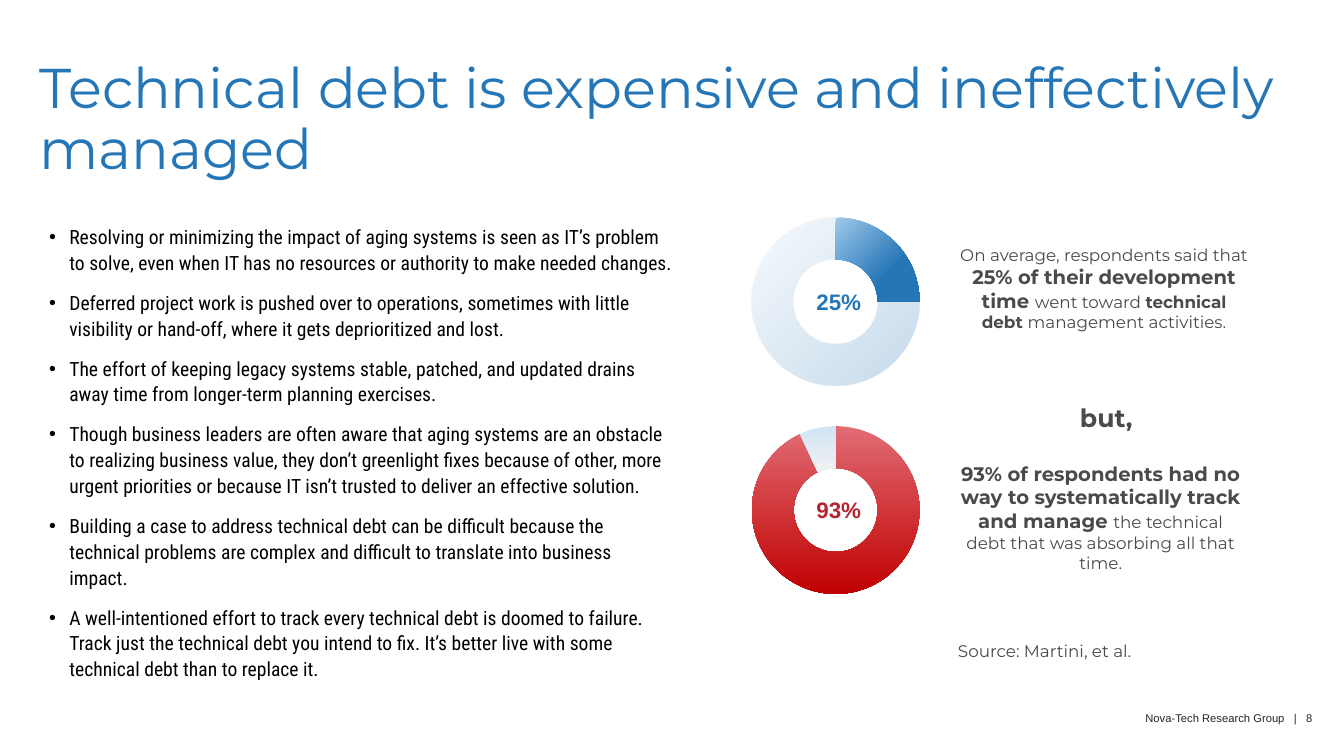
"""Build the slide on the cost and management of technical debt."""
from dataclasses import dataclass

from lxml.etree import SubElement
from pptx import Presentation
from pptx.chart.data import CategoryChartData
from pptx.dml.color import RGBColor
from pptx.enum.chart import XL_CHART_TYPE
from pptx.enum.text import MSO_ANCHOR, PP_ALIGN
from pptx.oxml.ns import qn
from pptx.util import Inches, Pt


@dataclass(frozen=True)
class Theme:
    blue: str = "2576B7"
    red: str = "B3242E"
    grey: str = "4A4A4A"
    black: str = "000000"
    footer_grey: str = "242424"
    heading: str = "Montserrat"
    body: str = "Roboto Condensed"
    label: str = "Arial"
    chart: str = "Calibri"
    title_size: int = 40
    but_size: int = 18
    percent_size: int = 16
    large: int = 14
    normal: int = 12
    chart_size: int = 10
    footer_size: int = 8


THEME = Theme()

TITLE = "Technical debt is expensive and ineffectively managed"
BULLETS = [
    "Resolving or minimizing the impact of aging systems is seen as IT’s problem to solve, "
    "even when IT has no resources or authority to make needed changes.",
    "Deferred project work is pushed over to operations, sometimes with little visibility "
    "or hand-off, where it gets deprioritized and lost.",
    "The effort of keeping legacy systems stable, patched, and updated drains away time "
    "from longer-term planning exercises.",
    "Though business leaders are often aware that aging systems are an obstacle to realizing "
    "business value, they don’t greenlight fixes because of other, more urgent priorities "
    "or because IT isn’t trusted to deliver an effective solution.",
    "Building a case to address technical debt can be difficult because the technical "
    "problems are complex and difficult to translate into business impact.",
    "A well-intentioned effort to track every technical debt is doomed to failure. Track just "
    "the technical debt you intend to fix. It’s better live with some technical debt than "
    "to replace it.",
]
DONUTS = [
    {
        "top": 2.02, "share": 25, "color": THEME.blue, "angle": 45,
        "gradients": [
            [(0, "9FC9EB", 100), (65, THEME.blue, 100)],
            [(0, THEME.blue, 3), (99, THEME.blue, 26)],
        ],
    },
    {
        "top": 4.09, "share": 93, "color": THEME.red, "angle": 90,
        "gradients": [
            [(0, "E16C74", 100), (100, "C00000", 100)],
            [(0, "CFE4F5", 100), (100, "F2F2F2", 100)],
        ],
    },
]
FINDINGS = [
    ((9.53, 2.43, 2.86, 1.08), [
        ("On average, respondents said that ", THEME.normal, False),
        ("25% of their development time ", THEME.large, True),
        ("went toward ", THEME.normal, False),
        ("technical debt ", THEME.normal, True),
        ("management activities.", THEME.normal, False),
    ]),
    ((9.53, 4.58, 2.79, 1.11), [
        ("93% of respondents had no way to systematically track and manage ", THEME.large, True),
        ("the technical debt that was absorbing all that time.", THEME.normal, False),
    ]),
]
BUT = "but,"
SOURCE = "Source: Martini, et al."
FOOTER = "Nova-Tech Research Group   |   8"

DONUT_LEFT, DONUT_WIDTH, DONUT_HEIGHT = 7.32, 1.95, 1.94
PERCENT_WIDTH, PERCENT_HEIGHT = 1.4, 0.27
HOLE_SIZE = 60


def style(font, name, size, color, bold=False):
    font.name, font.size, font.bold = name, Pt(size), bold
    font.color.rgb = RGBColor.from_string(color)


def add_frame(page, place, inset=(0, 0)):
    frame = page.shapes.add_textbox(*map(Inches, place)).text_frame
    frame.word_wrap = True
    frame.margin_left = frame.margin_right = Inches(inset[0])
    frame.margin_top = frame.margin_bottom = Inches(inset[1])
    return frame


def add_line(page, place, text, name, size, color, bold=False,
             align=PP_ALIGN.CENTER, inset=(0, 0)):
    para = add_frame(page, place, inset).paragraphs[0]
    para.text, para.alignment = text, align
    style(para.font, name, size, color, bold)


def add_title(page):
    title = page.shapes.title
    title.left, title.top, title.width, title.height = map(Inches, (0.39, 0.58, 12.39, 1.24))
    frame = title.text_frame
    frame.margin_left = frame.margin_right = frame.margin_top = frame.margin_bottom = 0
    frame.vertical_anchor = MSO_ANCHOR.MIDDLE
    para = frame.paragraphs[0]
    para.text, para.alignment, para.line_spacing = TITLE, PP_ALIGN.LEFT, 0.9
    style(para.font, THEME.heading, THEME.title_size, THEME.blue)


def add_bullets(page):
    frame = add_frame(page, (0.39, 2.16, 6.4, 4.76), (0.1, 0.05))
    for index, text in enumerate(BULLETS):
        para = frame.add_paragraph() if index else frame.paragraphs[0]
        para.text, para.line_spacing = text, 1.1
        para.space_before = Pt(10 if index else 0)
        properties = para._p.get_or_add_pPr()
        properties.set("marL", str(Inches(0.2)))
        properties.set("indent", str(Inches(-0.2)))
        SubElement(properties, qn("a:buFont")).set("typeface", THEME.label)
        SubElement(properties, qn("a:buChar")).set("char", "•")
        style(para.font, THEME.body, THEME.large, THEME.black)


def add_donut(page, donut):
    data = CategoryChartData()
    data.categories = ["1", "2"]
    data.add_series("Series 1", (donut["share"], 100 - donut["share"]))
    place = (DONUT_LEFT, donut["top"], DONUT_WIDTH, DONUT_HEIGHT)
    chart = page.shapes.add_chart(XL_CHART_TYPE.DOUGHNUT, *map(Inches, place), data).chart
    chart.has_legend = chart.has_title = False
    style(chart.font, THEME.chart, THEME.chart_size, THEME.grey)
    plot = chart.plots[0]
    plot.vary_by_categories = True
    plot._element.find(qn("c:holeSize")).set("val", str(HOLE_SIZE))
    for index, gradient in enumerate(donut["gradients"]):
        look = plot.series[0].points[index].format
        look.line.fill.background()
        look.fill.gradient()
        look.fill.gradient_angle = 360 - donut["angle"]
        for stop, (position, color, _) in zip(look.fill.gradient_stops, gradient):
            stop.position = position / 100
            stop.color.rgb = RGBColor.from_string(color)
    opacities = [opacity for gradient in donut["gradients"] for _, _, opacity in gradient]
    for stop, opacity in zip(plot._element.iter(qn("a:gs")), opacities):
        if opacity < 100:
            SubElement(stop[0], qn("a:alpha")).set("val", str(opacity * 1000))

    left = DONUT_LEFT + (DONUT_WIDTH - PERCENT_WIDTH) / 2 + 0.03
    top = donut["top"] + (DONUT_HEIGHT - PERCENT_HEIGHT) / 2
    add_line(page, (left, top, PERCENT_WIDTH, PERCENT_HEIGHT), f"{donut['share']}%",
             THEME.label, THEME.percent_size, donut["color"], True)


def add_finding(page, place, spans):
    para = add_frame(page, place).paragraphs[0]
    para.alignment = PP_ALIGN.CENTER
    for text, size, bold in spans:
        span = para.add_run()
        span.text = text
        style(span.font, THEME.heading, size, THEME.grey, bold)


def main():
    deck = Presentation()
    deck.slide_width, deck.slide_height = Inches(13.34), Inches(7.5)
    page = deck.slides.add_slide(deck.slide_layouts[5])
    add_title(page)
    add_bullets(page)
    for donut in DONUTS:
        add_donut(page, donut)
    for place, spans in FINDINGS:
        add_finding(page, place, spans)
    add_line(page, (10.48, 3.94, 1, 0.4), BUT, THEME.heading, THEME.but_size,
             THEME.grey, True, inset=(0.1, 0.05))
    add_line(page, (8.81, 6.31, 3.12, 0.3), SOURCE, THEME.heading, THEME.normal,
             THEME.grey, inset=(0.1, 0.05))
    add_line(page, (9.63, 7.06, 3.4, 0.13), FOOTER, THEME.label, THEME.footer_size,
             THEME.footer_grey, align=PP_ALIGN.RIGHT)
    deck.save("out.pptx")


if __name__ == "__main__":
    main()
